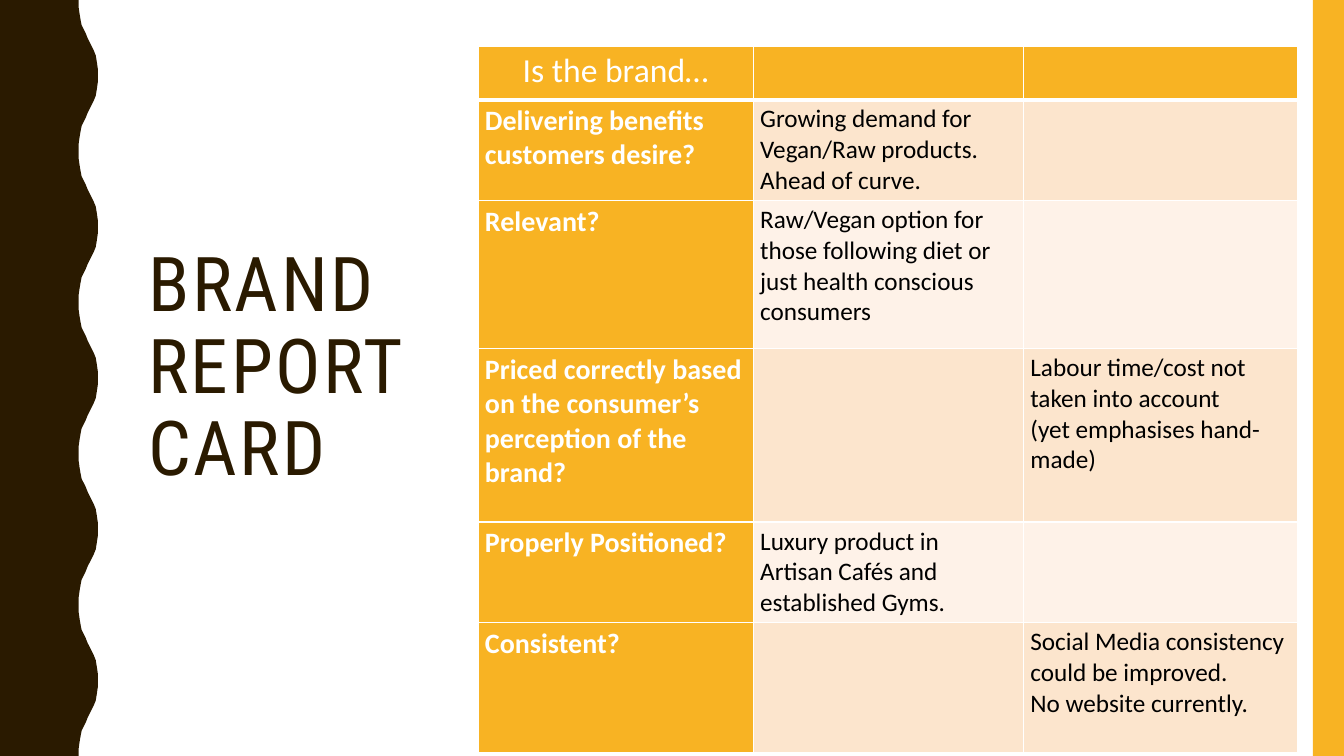
from dataclasses import dataclass
from typing import Any

from lxml.etree import SubElement
from pptx import Presentation
from pptx.dml.color import RGBColor
from pptx.enum.text import MSO_ANCHOR, PP_ALIGN
from pptx.enum.shapes import MSO_SHAPE
from pptx.oxml.ns import qn
from pptx.util import Pt

EMU_PER_PX = 9144
SLIDE_WIDTH, SLIDE_HEIGHT = 1333, 750

BROWN = RGBColor(0x2A, 0x1A, 0x00)
AMBER = RGBColor(0xF8, 0xB3, 0x23)
PEACH = RGBColor(0xFC, 0xE5, 0xCD)
CREAM = RGBColor(0xFE, 0xF2, 0xE8)
WHITE = RGBColor(0xFF, 0xFF, 0xFF)
BLACK = RGBColor(0x00, 0x00, 0x00)

WAVE_PERIOD = 150
WAVE_RISE = [
    (78, 0), (78, 7), (79, 14), (80, 20), (81, 25), (83, 29), (85, 33), (87, 38),
    (89, 42), (91, 46), (93, 50), (95, 55), (96, 61), (97, 68), (97, 75),
]
COLUMN_WIDTHS = [273, 268, 272]
HEADER_HEIGHT = 53
BORDER_SIDES = ["lnL", "lnR", "lnT", "lnB"]


@dataclass(frozen=True)
class TextStyle:
    size: int
    bold: bool
    color: RGBColor
    alignment: PP_ALIGN = PP_ALIGN.LEFT
    font: str = "Calibri"


@dataclass(frozen=True)
class ReportRow:
    height: int
    question: str
    strength: str = ""
    weakness: str = ""


HEADER_STYLE = TextStyle(24, False, WHITE, PP_ALIGN.CENTER)
QUESTION_STYLE = TextStyle(20, True, WHITE)
ANSWER_STYLE = TextStyle(18, False, BLACK)
TITLE_STYLE = TextStyle(54, False, BROWN, font="Roboto Condensed")

REPORT_ROWS = [
    ReportRow(100, "Delivering benefits customers desire?",
              strength="Growing demand for Vegan/Raw products. Ahead of curve."),
    ReportRow(147, "Relevant?",
              strength="Raw/Vegan option for those following diet or just health conscious consumers"),
    ReportRow(172, "Priced correctly based on the consumer’s perception of the brand?",
              weakness="Labour time/cost not taken into account\n(yet emphasises hand-made)"),
    ReportRow(100, "Properly Positioned?",
              strength="Luxury product in Artisan Cafés and established Gyms."),
    ReportRow(129, "Consistent?",
              weakness="Social Media consistency could be improved.\nNo website currently."),
]


def px(length: int) -> int:
    return length * EMU_PER_PX


def apply_format(target: Any, values: dict[str, Any]) -> None:
    for name, value in values.items():
        setattr(target, name, value)


def write_text(text_frame: Any, text: str, style: TextStyle) -> None:
    text_frame.text = text
    for paragraph in text_frame.paragraphs:
        paragraph.alignment = style.alignment
        for run in paragraph.runs:
            apply_format(run.font, {"size": Pt(style.size), "bold": style.bold, "name": style.font})
            run.font.color.rgb = style.color


def paint(shape: Any, color: RGBColor) -> None:
    shape.shadow.inherit = False
    shape.fill.solid()
    shape.fill.fore_color.rgb = color
    shape.line.fill.background()


def draw_wave(slide: Any) -> None:
    fall = [(x, WAVE_PERIOD - y) for x, y in reversed(WAVE_RISE[1:-1])]
    edge = [
        (x, top + y)
        for top in range(0, SLIDE_HEIGHT, WAVE_PERIOD)
        for x, y in WAVE_RISE + fall
    ]
    builder = slide.shapes.build_freeform(0, 0, scale=EMU_PER_PX)
    builder.add_line_segments(edge + [(78, SLIDE_HEIGHT), (0, SLIDE_HEIGHT)], close=True)
    paint(builder.convert_to_shape(), BROWN)


def draw_side_bar(slide: Any) -> None:
    bar = slide.shapes.add_shape(MSO_SHAPE.RECTANGLE, px(1302), 0, px(31), px(SLIDE_HEIGHT))
    paint(bar, AMBER)


def draw_title(slide: Any) -> None:
    title = slide.shapes.add_textbox(px(137), px(70), px(370), px(592))
    text_frame = title.text_frame
    apply_format(text_frame, {"word_wrap": True, "vertical_anchor": MSO_ANCHOR.MIDDLE})
    write_text(text_frame, "BRAND REPORT\vCARD", TITLE_STYLE)
    paragraph = text_frame.paragraphs[0]
    paragraph.line_spacing = 0.9
    for run in paragraph.runs:
        run.font._element.set("spc", "200")


def set_borders(cell: Any, bottom_width: int) -> None:
    properties = cell._tc.get_or_add_tcPr()
    for index, side in enumerate(BORDER_SIDES):
        width = bottom_width if side == "lnB" else 1
        line = SubElement(properties, qn(f"a:{side}"), w=str(Pt(width)))
        fill = SubElement(line, qn("a:solidFill"))
        SubElement(fill, qn("a:srgbClr"), val=str(WHITE))
        properties.insert(index, line)


def fill_cell(cell: Any, text: str, style: TextStyle, color: RGBColor, bottom_width: int = 1) -> None:
    apply_format(cell, {"margin_left": px(7), "margin_right": px(7),
                        "margin_top": px(4), "margin_bottom": px(4)})
    cell.fill.solid()
    cell.fill.fore_color.rgb = color
    set_borders(cell, bottom_width)
    if text:
        write_text(cell.text_frame, text, style)


def draw_report_table(slide: Any) -> None:
    heights = [HEADER_HEIGHT] + [row.height for row in REPORT_ROWS]
    table = slide.shapes.add_table(
        len(heights), len(COLUMN_WIDTHS), px(474), px(46), px(sum(COLUMN_WIDTHS)), px(sum(heights))
    ).table
    apply_format(table, {"first_row": False, "horz_banding": False})
    for column, width in zip(table.columns, COLUMN_WIDTHS):
        column.width = px(width)
    for table_row, height in zip(table.rows, heights):
        table_row.height = px(height)
    for column_index, text in enumerate(["Is the brand…", "", ""]):
        fill_cell(table.cell(0, column_index), text, HEADER_STYLE, AMBER, bottom_width=3)
    for row_index, row in enumerate(REPORT_ROWS, start=1):
        band = PEACH if row_index % 2 else CREAM
        fill_cell(table.cell(row_index, 0), row.question, QUESTION_STYLE, AMBER)
        fill_cell(table.cell(row_index, 1), row.strength, ANSWER_STYLE, band)
        fill_cell(table.cell(row_index, 2), row.weakness, ANSWER_STYLE, band)


def main() -> None:
    presentation = Presentation()
    apply_format(presentation, {"slide_width": px(SLIDE_WIDTH), "slide_height": px(SLIDE_HEIGHT)})
    slide = presentation.slides.add_slide(presentation.slide_layouts[6])
    draw_wave(slide)
    draw_side_bar(slide)
    draw_title(slide)
    draw_report_table(slide)
    presentation.save("out.pptx")


if __name__ == "__main__":
    main()
